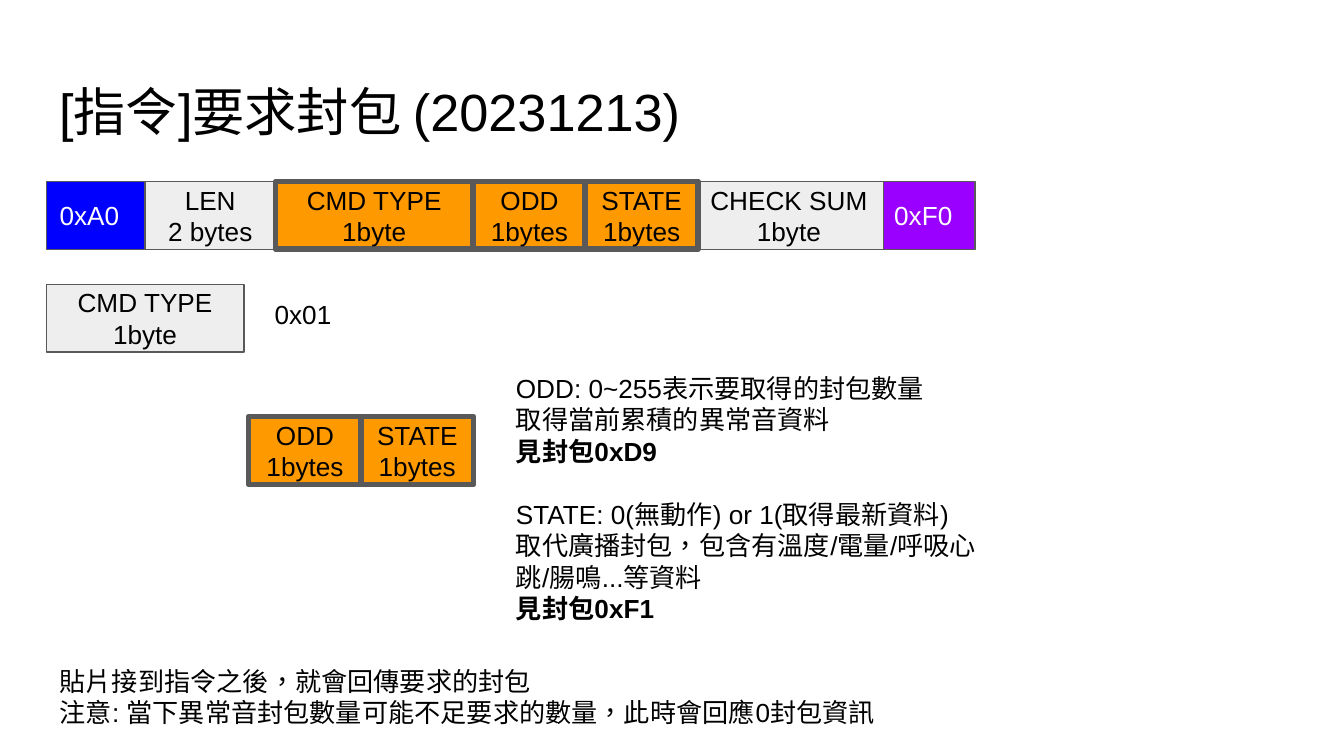
import copy
import dataclasses

import pptx
import pptx.dml.color
import pptx.enum.lang
import pptx.enum.shapes
import pptx.enum.text
import pptx.oxml.ns
import pptx.util

PX = 4572
ALIGN = pptx.enum.text.PP_ALIGN
ANCHOR = pptx.enum.text.MSO_ANCHOR


@dataclasses.dataclass(frozen=True)
class Theme:
    """Hold the colours, font and type sizes."""
    font: str = "Arial"
    title: int = 28
    body: int = 14
    gap: int = 17
    thin: float = 0.75
    thick: float = 3
    ink: str = "000000"
    light: str = "FFFFFF"
    edge: str = "595959"
    plain: str = "EEEEEE"
    start: str = "0000FF"
    stop: str = "9900FF"
    active: str = "FF9900"


THEME = Theme()
CMD = "CMD TYPE\n1byte"
ODD = "ODD\n1bytes"
STATE = "STATE\n1bytes"


def rgb(code):
    """Return the colour for a hex code."""
    return pptx.dml.color.RGBColor.from_string(code)


def emu(*sizes):
    """Turn px lengths into EMU."""
    return [pptx.util.Emu(size * PX) for size in sizes]


def style(line, size, color):
    """Format the runs and line breaks of a paragraph alike."""
    for run in line.runs:
        run.font.name = THEME.font
        run.font.size = pptx.util.Pt(size)
        run.font.color.rgb = rgb(color)
        run.font.language_id = (
            pptx.enum.lang.MSO_LANGUAGE_ID.TRADITIONAL_CHINESE)
    for mark in line._p.findall(pptx.oxml.ns.qn("a:br")):
        mark.append(copy.deepcopy(line.runs[0]._r.rPr))


def write(shape, parts, size=THEME.body, color=THEME.ink, align=ALIGN.LEFT,
          anchor=ANCHOR.TOP):
    """Fill a shape with evenly styled paragraphs."""
    frame = shape.text_frame
    frame.word_wrap = True
    frame.auto_size = pptx.enum.text.MSO_AUTO_SIZE.NONE
    frame.vertical_anchor = anchor
    (frame.margin_left, frame.margin_top,
     frame.margin_right, frame.margin_bottom) = emu(20, 20, 20, 20)
    for index, text in enumerate(parts):
        line = frame.add_paragraph() if index else frame.paragraphs[0]
        line.text = text
        line.alignment = align
        if index:
            line.space_before = pptx.util.Pt(THEME.gap)
        style(line, size, color)
    return frame


def add_title(slide, box, text):
    """Place the slide title."""
    title = slide.shapes.title
    title.left, title.top, title.width, title.height = emu(*box)
    write(title, [text], THEME.title)


def add_note(slide, box, *parts):
    """Place a text box."""
    return write(slide.shapes.add_textbox(*emu(*box)), parts)


def add_field(slide, box, text, fill):
    """Draw one packet field."""
    kind = pptx.enum.shapes.MSO_SHAPE.RECTANGLE
    shape = slide.shapes.add_shape(kind, *emu(*box))
    shape.shadow.inherit = False
    shape.fill.solid()
    shape.fill.fore_color.rgb = rgb(fill)
    shape.line.color.rgb = rgb(THEME.edge)
    weight = THEME.thick if fill == THEME.active else THEME.thin
    shape.line.width = pptx.util.Pt(weight)
    mark = fill in (THEME.start, THEME.stop)
    write(shape, [text], color=THEME.light if mark else THEME.ink,
          align=ALIGN.LEFT if mark else ALIGN.CENTER, anchor=ANCHOR.MIDDLE)


def add_packet(slide, box, fields):
    """Draw fields, back to front, at offsets in a row."""
    left, top, height = box
    for shift, width, text, fill in fields:
        add_field(slide, (left + shift, top, width, height), text, fill)


def add_detail(slide, box):
    """Explain the two request fields."""
    frame = add_note(
        slide, box,
        "ODD: 0~255表示要取得的封包數量\n"
        "取得當前累積的異常音資料\n"
        "見封包0xD9",
        "STATE: 0(無動作) or 1(取得最新資料)\n"
        "取代廣播封包，包含有溫度/電量/呼吸心跳/腸鳴...等資料\n"
        "見封包0xF1")
    for line in frame.paragraphs:
        line.runs[-1].font.bold = True


def main():
    """Build and save the slide."""
    deck = pptx.Presentation()
    deck.slide_width, deck.slide_height = emu(2000, 1125)
    slide = deck.slides.add_slide(deck.slide_layouts[5])
    add_title(slide, (68, 98, 1864, 126), "[指令]要求封包 (20231213)")
    add_packet(slide, (69, 270, 101), (
        (147, 194, "LEN\n2 bytes", THEME.plain),
        (0, 147, "0xA0", THEME.start),
        (1242, 140, "0xF0", THEME.stop),
        (964, 282, "CHECK SUM\n1byte", THEME.plain),
        (341, 294, CMD, THEME.active),
        (635, 168, ODD, THEME.active),
        (802, 168, STATE, THEME.active)))
    add_packet(slide, (69, 423, 101), ((0, 294, CMD, THEME.plain),))
    add_note(slide, (389, 424, 158, 90), "0x01")
    add_detail(slide, (748, 534, 800, 400))
    add_packet(slide, (370, 620, 101), (
        (0, 168, ODD, THEME.active),
        (167, 168, STATE, THEME.active)))
    add_note(slide, (69, 970, 1382, 134),
             "貼片接到指令之後，就會回傳要求的封包\n"
             "注意: 當下異常音封包數量可能不足要求的數量，此時會回應0封包資訊")
    deck.save("out.pptx")


if __name__ == "__main__":
    main()
